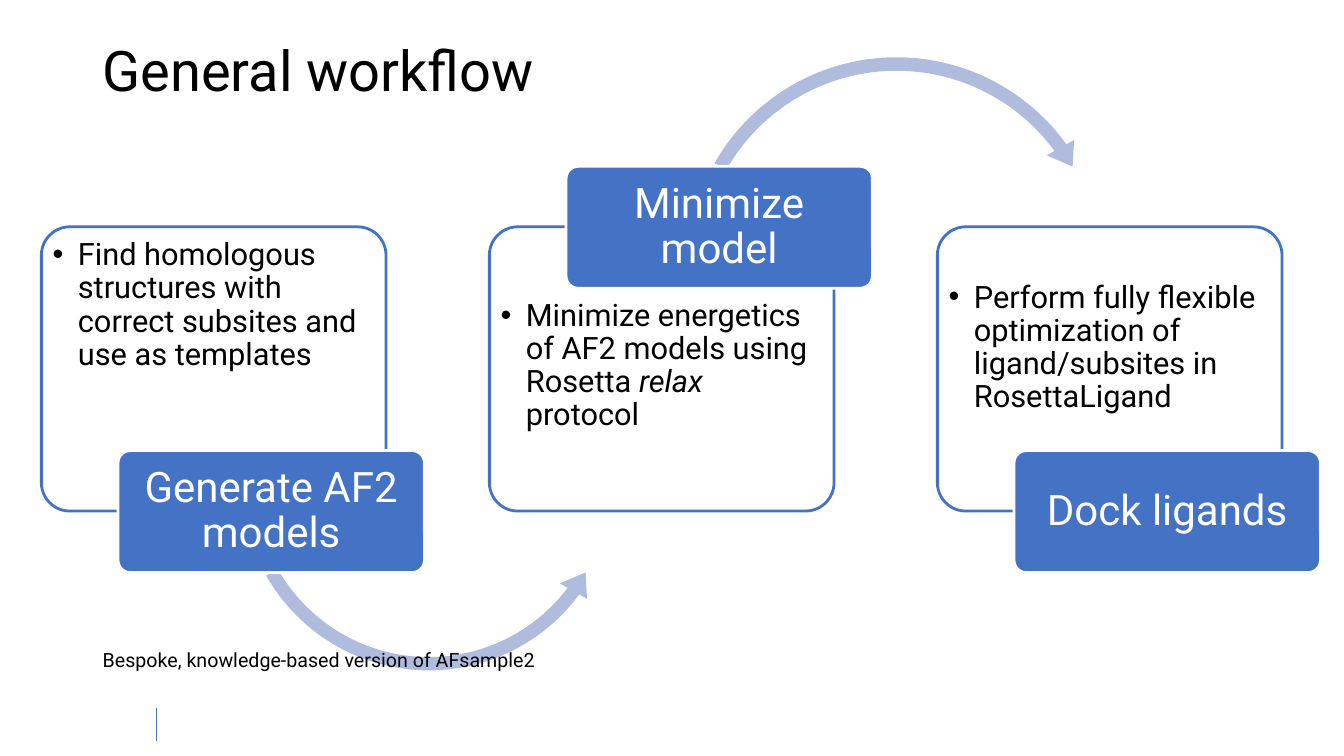
from dataclasses import dataclass

from lxml.etree import SubElement
from pptx import Presentation
from pptx.dml.color import RGBColor
from pptx.enum.shapes import MSO_CONNECTOR, MSO_SHAPE
from pptx.enum.text import MSO_ANCHOR, PP_ALIGN
from pptx.oxml.ns import qn
from pptx.util import Inches, Pt


@dataclass(frozen=True)
class Theme:
    font: str = "Roboto"
    ink: RGBColor = RGBColor(0, 0, 0)
    paper: RGBColor = RGBColor(0xFF, 0xFF, 0xFF)
    accent: RGBColor = RGBColor(0x44, 0x72, 0xC4)
    arrow: RGBColor = RGBColor(0xB0, 0xBC, 0xDE)
    title: int = 40
    label: int = 30
    body: int = 22
    note: int = 14
    outline: float = 2
    hairline: float = 0.75
    line_spacing: float = 0.9
    corner: float = 0.1


@dataclass(frozen=True)
class Box:
    left: int
    top: int
    width: int
    height: int

    def area(self, left, top, width, height):
        return Box(
            round(self.left + self.width * left / 100),
            round(self.top + self.height * top / 100),
            round(self.width * width / 100),
            round(self.height * height / 100),
        )

    def place(self):
        return self.left, self.top, self.width, self.height


@dataclass(frozen=True)
class Arrow:
    preset: MSO_SHAPE
    shares: tuple
    adjustments: tuple


@dataclass(frozen=True)
class Stage:
    label: str
    label_top: float
    body: tuple
    body_inset: float
    arrow: Arrow = None


THEME = Theme()

STAGES = (
    Stage(
        "Generate AF2 models", 59.6,
        (("Find homologous structures with correct subsites and use as templates", False),),
        0.04,
        Arrow(MSO_SHAPE.LEFT_CIRCULAR_ARROW, (42.74, 38, 87.51, 51.87),
              (0.034, 4.273, 22.029, 90.245, 0.04)),
    ),
    Stage(
        "Minimize model", 22,
        (("Minimize energetics of AF2 models using Rosetta ", False),
         ("relax", True), (" protocol", False)),
        0.64,
        Arrow(MSO_SHAPE.CIRCULAR_ARROW, (42.18, 6.4, 97.41, 57.73),
              (0.031, 3.81, 194.435, 125.755, 0.036)),
    ),
    Stage(
        "Dock ligands", 59.6,
        (("Perform fully flexible optimization of ligand/subsites in RosettaLigand", False),),
        0.46,
    ),
)


def style_run(run, size, color, italic=False):
    run.font.name = THEME.font
    run.font.size = Pt(size)
    run.font.color.rgb = color
    run.font.italic = italic


def set_insets(frame, left, top, right, bottom):
    frame.margin_left, frame.margin_top = Inches(left), Inches(top)
    frame.margin_right, frame.margin_bottom = Inches(right), Inches(bottom)
    frame.word_wrap = True


def add_bullet(paragraph, indent):
    properties = paragraph._p.get_or_add_pPr()
    properties.set("marL", str(indent))
    properties.set("indent", str(-indent))
    SubElement(properties, qn("a:buFont")).set("typeface", "Arial")
    SubElement(properties, qn("a:buChar")).set("char", "•")


def add_filled(slide, preset, box, adjustments, fill, outline=None):
    shape = slide.shapes.add_shape(preset, *box.place())
    shape.shadow.inherit = False
    for index, value in enumerate(adjustments):
        shape.adjustments[index] = value
    shape.fill.solid()
    shape.fill.fore_color.rgb = fill
    if outline is None:
        shape.line.fill.background()
    else:
        shape.line.color.rgb = outline
        shape.line.width = Pt(THEME.outline)
    return shape


def add_line_of_text(slide, box, text, size, anchor, spacing):
    caption = slide.shapes.add_textbox(*box.place())
    frame = caption.text_frame
    frame.word_wrap = True
    frame.vertical_anchor = anchor
    frame.text = text
    frame.paragraphs[0].line_spacing = spacing
    style_run(frame.paragraphs[0].runs[0], size, THEME.ink)


def add_card(slide, box, body, top_inset):
    card = add_filled(slide, MSO_SHAPE.ROUNDED_RECTANGLE, box, (THEME.corner,),
                      THEME.paper, THEME.accent)
    paper = card._element.spPr.find(qn("a:solidFill"))[0]
    SubElement(paper, qn("a:alpha")).set("val", "90000")
    frame = card.text_frame
    set_insets(frame, 0.03, top_inset, 0.04, 0.04)
    frame.vertical_anchor = MSO_ANCHOR.TOP
    paragraph = frame.paragraphs[0]
    paragraph.alignment = PP_ALIGN.LEFT
    paragraph.line_spacing = THEME.line_spacing
    add_bullet(paragraph, Inches(0.25))
    for text, italic in body:
        run = paragraph.add_run()
        run.text = text
        style_run(run, THEME.body, THEME.ink, italic)


def add_label(slide, box, text):
    label = add_filled(slide, MSO_SHAPE.ROUNDED_RECTANGLE, box, (THEME.corner,),
                       THEME.accent, THEME.paper)
    frame = label.text_frame
    set_insets(frame, 0.06, 0.04, 0.06, 0.04)
    frame.vertical_anchor = MSO_ANCHOR.MIDDLE
    frame.text = text
    paragraph = frame.paragraphs[0]
    paragraph.alignment = PP_ALIGN.CENTER
    paragraph.line_spacing = THEME.line_spacing
    style_run(paragraph.runs[0], THEME.label, THEME.paper)


def add_stage(slide, column, stage):
    add_card(slide, column.area(0, 30, 76.94, 37.6), stage.body, stage.body_inset)
    if stage.arrow:
        add_filled(slide, stage.arrow.preset, column.area(*stage.arrow.shares),
                   stage.arrow.adjustments, THEME.arrow)
    add_label(slide, column.area(17.1, stage.label_top, 68.39, 16.13), stage.label)


def add_workflow(slide, box):
    share = 100 / len(STAGES)
    for index, stage in enumerate(STAGES):
        add_stage(slide, box.area(index * share, 0, share, 100), stage)


def add_footer_rule(slide, box):
    rule = slide.shapes.add_connector(MSO_CONNECTOR.STRAIGHT, box.left, box.top,
                                      box.left, box.top + box.height)
    rule.line.color.rgb = THEME.accent
    rule.line.width = Pt(THEME.hairline)
    SubElement(rule._element.spPr, qn("a:effectLst"))


def main():
    deck = Presentation()
    deck.slide_width, deck.slide_height = Inches(13.33), Inches(7.5)
    slide = deck.slides.add_slide(deck.slide_layouts[6])
    page = Box(0, 0, deck.slide_width, deck.slide_height)
    add_footer_rule(slide, page.area(11.63, 93.6, 0, 4.4))
    add_line_of_text(slide, page.area(6.9, 5.33, 86.27, 8.67), "General workflow",
                     THEME.title, MSO_ANCHOR.MIDDLE, THEME.line_spacing)
    add_workflow(slide, page.area(3.08, 0, 100, 100))
    add_line_of_text(slide, page.area(6.9, 85.07, 48.84, 4.53),
                     "Bespoke, knowledge-based version of AFsample2",
                     THEME.note, MSO_ANCHOR.TOP, 1.0)
    deck.save("out.pptx")


if __name__ == "__main__":
    main()
